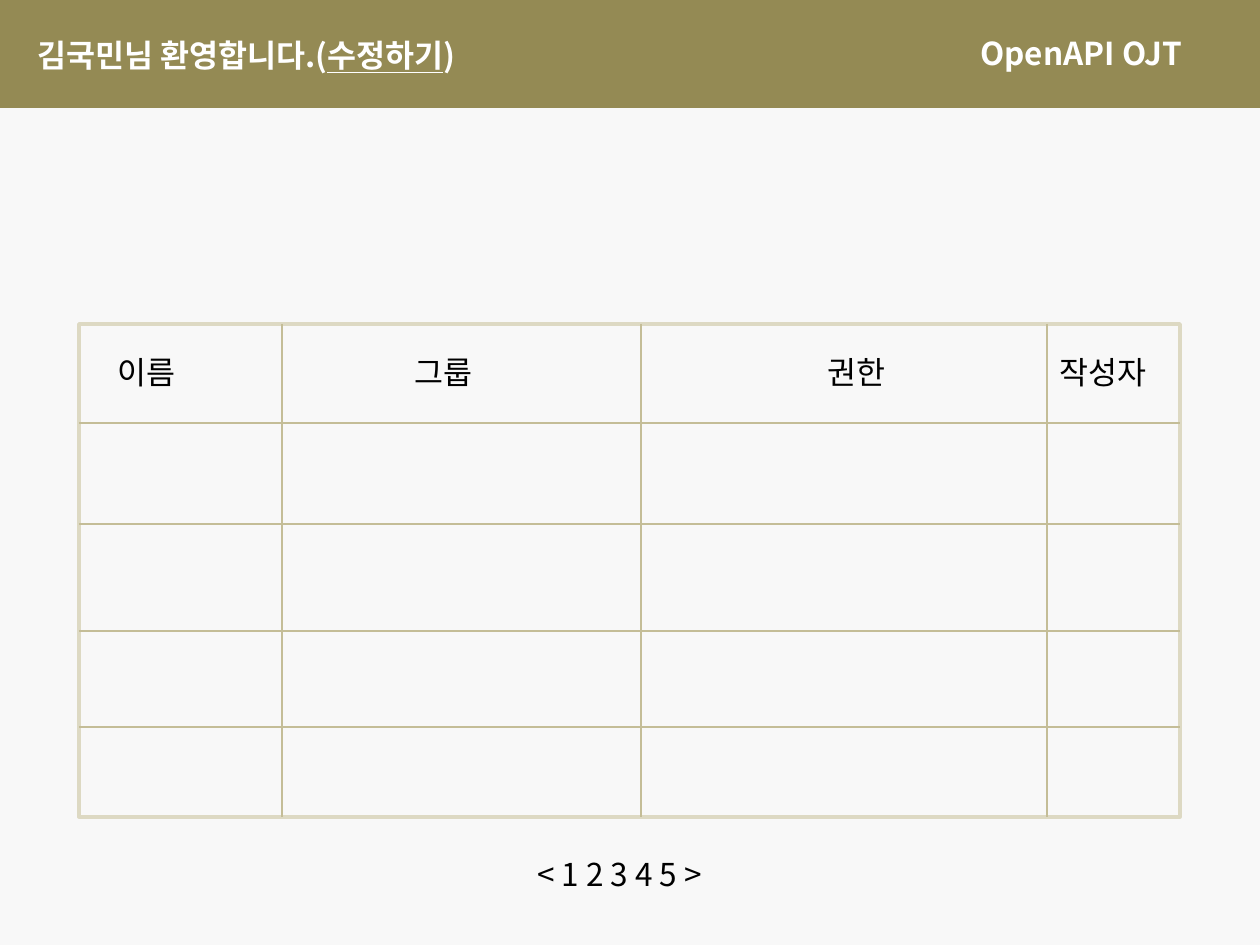
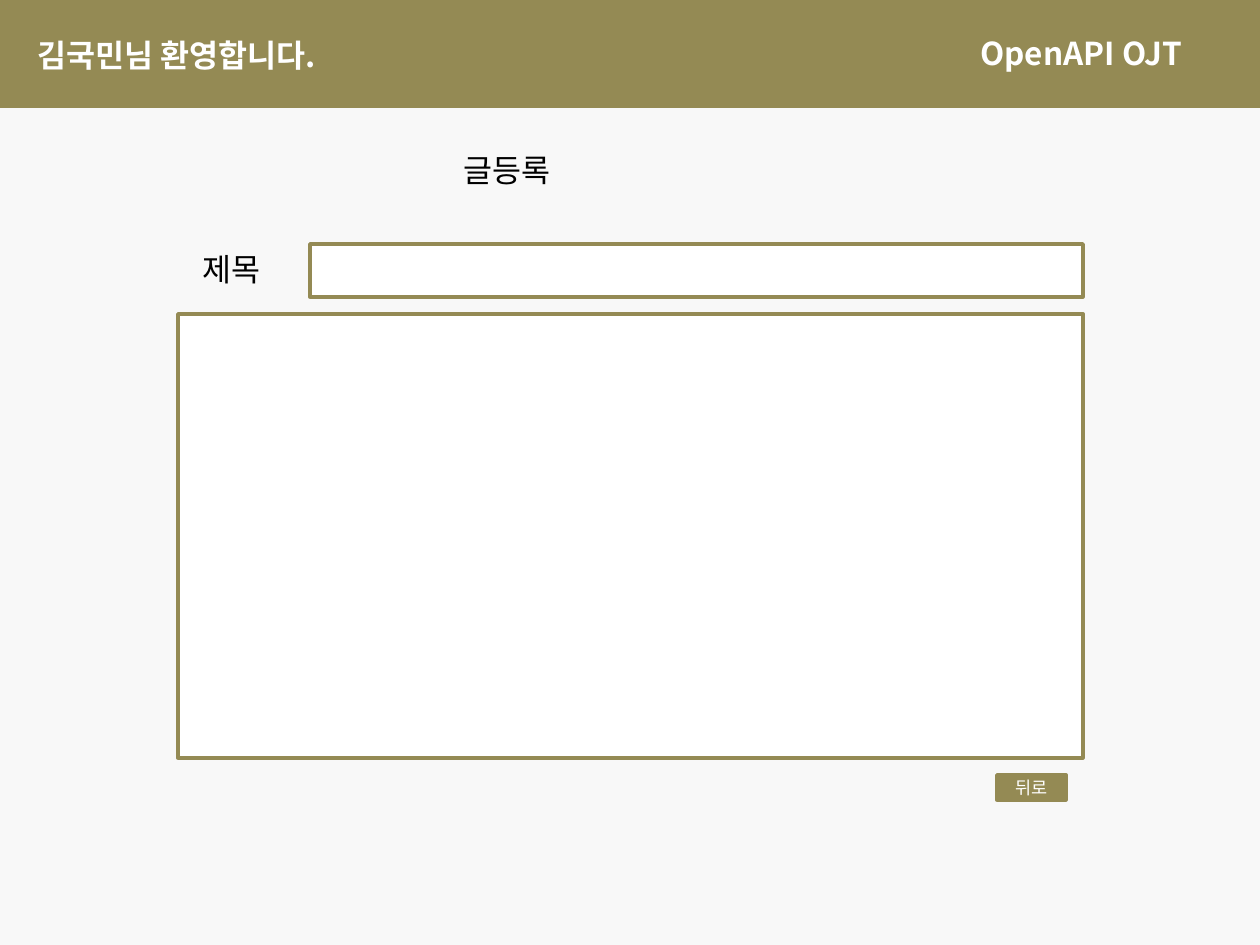
from pptx import Presentation
from pptx.dml.color import RGBColor
from pptx.enum.shapes import MSO_CONNECTOR, MSO_SHAPE
from pptx.enum.text import MSO_ANCHOR, PP_ALIGN
from pptx.oxml.ns import qn
from pptx.util import Pt
from lxml.etree import SubElement

EMU_PER_PX = 914400 / 126
SLIDE_WIDTH, SLIDE_HEIGHT = 1260, 945
FONT = "Noto Sans CJK KR"
TEXT_HEIGHT = 50
COLORS = {
    "background": "F8F8F8",
    "olive": "948A54",
    "frame": "DDD9C3",
    "grid": "C4BD97",
    "white": "FFFFFF",
    "black": "000000",
}
BODY_TEXT = {"size": Pt(18), "bold": False}
BAND_TEXT = {"size": Pt(18), "bold": True}
BUTTON_TEXT = {"size": Pt(10), "bold": False}


def px(*lengths):
    return [round(length * EMU_PER_PX) for length in lengths]


def rgb(color):
    return RGBColor.from_string(COLORS[color])


def write(paragraph, text, color="black", text_format=BODY_TEXT, underline=False):
    run = paragraph.add_run()
    run.text = text
    run.font.color.rgb = rgb(color)
    for name, value in {"name": FONT, "underline": underline, **text_format}.items():
        setattr(run.font, name, value)
    # Hangul takes its font from the East Asian typeface.
    SubElement(run.font._element, qn("a:ea"), typeface=FONT)


def add_text(slide, left, top, width, text="", **style):
    """Add a one-line text box and return its paragraph."""
    box = slide.shapes.add_textbox(*px(left, top, width, TEXT_HEIGHT))
    box.text_frame.word_wrap = True
    paragraph = box.text_frame.paragraphs[0]
    if text:
        write(paragraph, text, **style)
    return paragraph


def add_rectangle(slide, left, top, width, height, fill=None, line="olive"):
    shape = slide.shapes.add_shape(
        MSO_SHAPE.RECTANGLE, *px(left, top, width, height))
    shape.shadow.inherit = False
    if fill:
        shape.fill.solid()
        shape.fill.fore_color.rgb = rgb(fill)
    else:
        shape.fill.background()
    shape.line.color.rgb = rgb(line)
    shape.line.width = Pt(2)
    return shape


def add_grid_line(slide, *ends):
    line = slide.shapes.add_connector(MSO_CONNECTOR.STRAIGHT, *px(*ends))
    line.line.color.rgb = rgb("grid")
    line.line.width = Pt(0.75)
    SubElement(line._element.spPr, qn("a:effectLst"))


def add_header(slide, greeting_width, greeting):
    """Draw the top band; greeting is a list of (text, underline) pairs."""
    band = {"color": "white", "text_format": BAND_TEXT}
    add_rectangle(slide, 0, 0, SLIDE_WIDTH, 106, fill="olive")
    add_text(slide, 968, 28, 292, "OpenAPI OJT", **band)
    paragraph = add_text(slide, 25, 30, greeting_width)
    for text, underline in greeting:
        write(paragraph, text, underline=underline, **band)


def add_member_grid(slide, left, top, width, height):
    add_rectangle(slide, left, top, width, height, line="frame")
    for row in (99, 200, 307, 403):
        add_grid_line(slide, left, top + row, left + width, top + row)
    for column in (203, 562, 968):
        add_grid_line(slide, left + column, top, left + column, top + height)
    headings = (("이름", 26, 149), ("그룹", 323, 110),
                ("권한", 736, 106), ("작성자", 968, 142))
    for heading, offset, heading_width in headings:
        add_text(slide, left + offset, top + 23, heading_width, heading)


def add_post_form(slide, left, top, width, height):
    add_text(slide, left + 273, top, 248, "글등록")
    add_text(slide, left + 12, top + 99, 130, "제목")
    field_offset, body_offset = 132, 169
    add_rectangle(slide, left + field_offset, top + 99,
                  width - field_offset, 53, fill="white")
    body_height = height - body_offset - 42
    add_rectangle(slide, left, top + body_offset, width, body_height, fill="white")

    button = add_rectangle(slide, left + width - 86, top + height - 25,
                           69, 25, fill="olive")
    frame = button.text_frame
    frame.vertical_anchor = MSO_ANCHOR.MIDDLE
    paragraph = frame.paragraphs[0]
    paragraph.alignment = PP_ALIGN.CENTER
    write(paragraph, "뒤로", color="white", text_format=BUTTON_TEXT)


def add_page(presentation):
    slide = presentation.slides.add_slide(presentation.slide_layouts[6])
    slide.background.fill.solid()
    slide.background.fill.fore_color.rgb = rgb("background")
    return slide


def add_list_slide(presentation):
    slide = add_page(presentation)
    add_header(slide, 515, [("김국민님 환영합니다.(", False),
                            ("수정하기", True), (")", False)])
    add_member_grid(slide, 79, 324, 1101, 493)
    add_text(slide, 525, 849, 238, "< 1 2 3 4 5 >")


def add_post_slide(presentation):
    slide = add_page(presentation)
    add_header(slide, 407, [("김국민님 환영합니다.", False)])
    add_post_form(slide, 178, 145, 905, 655)


def main():
    presentation = Presentation()
    presentation.slide_width, presentation.slide_height = px(
        SLIDE_WIDTH, SLIDE_HEIGHT)
    add_list_slide(presentation)
    add_post_slide(presentation)
    presentation.save("out.pptx")


if __name__ == "__main__":
    main()
